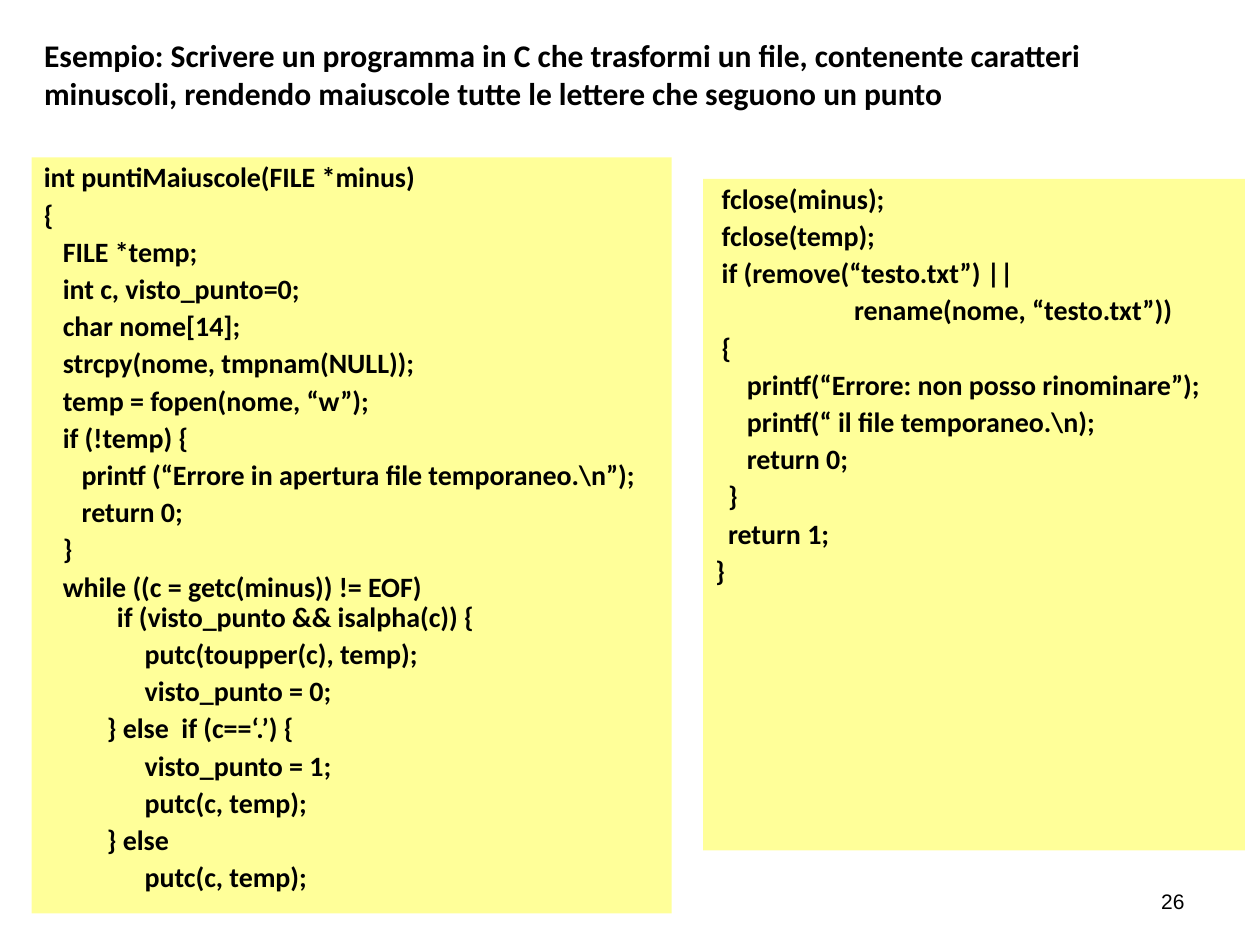
from pptx import Presentation
from pptx.dml.color import RGBColor
from pptx.enum.text import MSO_ANCHOR as Anchor, PP_ALIGN as Align
from pptx.util import Inches, Pt

BLACK = RGBColor(0, 0, 0)
YELLOW = RGBColor(0xFF, 0xFF, 0x99)

TITLE = ("Esempio: Scrivere un programma in C che trasformi un file, contenente caratteri "
         "minuscoli, rendendo maiuscole tutte le lettere che seguono un punto")
PAGE_NUMBER = "26"
LEFT_CODE = [
    (0, "int puntiMaiuscole(FILE *minus)"),
    (0, "{"),
    (3, "FILE *temp;"),
    (3, "int c, visto_punto=0;"),
    (3, "char nome[14];"),
    (3, "strcpy(nome, tmpnam(NULL));"),
    (3, "temp = fopen(nome, “w”);"),
    (3, "if (!temp) {"),
    (6, "printf (“Errore in apertura file temporaneo.\\n”);"),
    (6, "return 0;"),
    (3, "}"),
    (3, "while ((c = getc(minus)) != EOF)\vif (visto_punto && isalpha(c)) {"),
    (16, "putc(toupper(c), temp);"),
    (16, "visto_punto = 0;"),
    (10, "} else  if (c==‘.’) {"),
    (16, "visto_punto = 1;"),
    (16, "putc(c, temp);"),
    (10, "} else"),
    (16, "putc(c, temp);"),
]
RIGHT_CODE = [
    (1, "fclose(minus);"),
    (1, "fclose(temp);"),
    (1, "if (remove(“testo.txt”) ||"),
    (22, "rename(nome, “testo.txt”))"),
    (1, "{"),
    (5, "printf(“Errore: non posso rinominare”);"),
    (5, "printf(“ il file temporaneo.\\n);"),
    (5, "return 0;"),
    (2, "}"),
    (2, "return 1;"),
    (0, "}"),
]
CODE_BOXES = [
    ((0.25, 1.25, 5.08, 6), LEFT_CODE),
    ((5.58, 1.42, 4.3, 5.33), RIGHT_CODE),
]

INDENT_UNIT = 0.05
CONTINUATION_INDENT = 0.58
TITLE_FONT = {"name": "Calibri", "size": Pt(18), "bold": True}
CODE_FONT = {"name": "Calibri", "size": Pt(16), "bold": True}
NUMBER_FONT = {"name": "Arial", "size": Pt(12), "bold": False}


def write(para, text, font, **layout):
    para.text = text
    for name, value in layout.items():
        setattr(para, name, value)
    for span in para.runs:
        for name, value in font.items():
            setattr(span.font, name, value)
        span.font.color.rgb = BLACK


def add_box(page, place):
    box = page.shapes.add_textbox(*map(Inches, place))
    box.text_frame.word_wrap = True
    return box


def add_code(page, place, lines):
    box = add_box(page, place)
    box.fill.solid()
    box.fill.fore_color.rgb = YELLOW
    frame = box.text_frame
    for number, (depth, text) in enumerate(lines):
        para = frame.add_paragraph() if number else frame.paragraphs[0]
        write(para, text, CODE_FONT, alignment=Align.LEFT,
              line_spacing=0.9, space_before=Pt(4))
        first = depth * INDENT_UNIT
        rest = CONTINUATION_INDENT if "\v" in text else first
        properties = para._p.get_or_add_pPr()
        properties.set("marL", str(Inches(rest)))
        properties.set("indent", str(Inches(first - rest)))


def main():
    deck = Presentation()
    deck.slide_width, deck.slide_height = Inches(10), Inches(7.5)
    page = deck.slides.add_slide(deck.slide_layouts[5])

    title = page.shapes.title
    title.left, title.top, title.width, title.height = map(Inches, (0.25, 0.13, 9.25, 0.91))
    title.text_frame.vertical_anchor = Anchor.MIDDLE
    write(title.text_frame.paragraphs[0], TITLE, TITLE_FONT, alignment=Align.LEFT)

    for place, lines in CODE_BOXES:
        add_code(page, place, lines)

    number_box = add_box(page, (7.17, 6.95, 2.33, 0.4))
    number_box.text_frame.vertical_anchor = Anchor.MIDDLE
    write(number_box.text_frame.paragraphs[0], PAGE_NUMBER, NUMBER_FONT, alignment=Align.RIGHT)

    deck.save("out.pptx")


if __name__ == "__main__":
    main()
